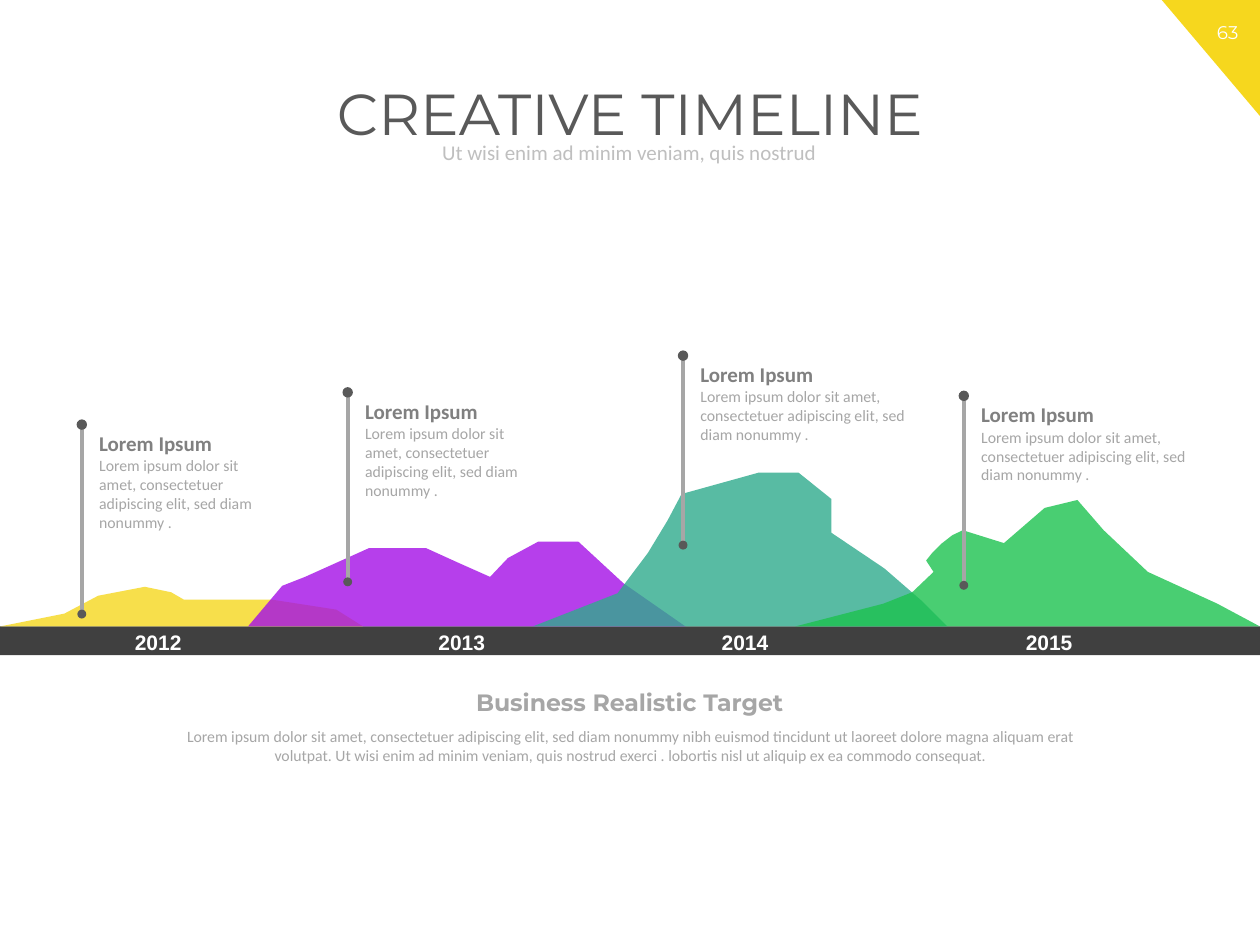
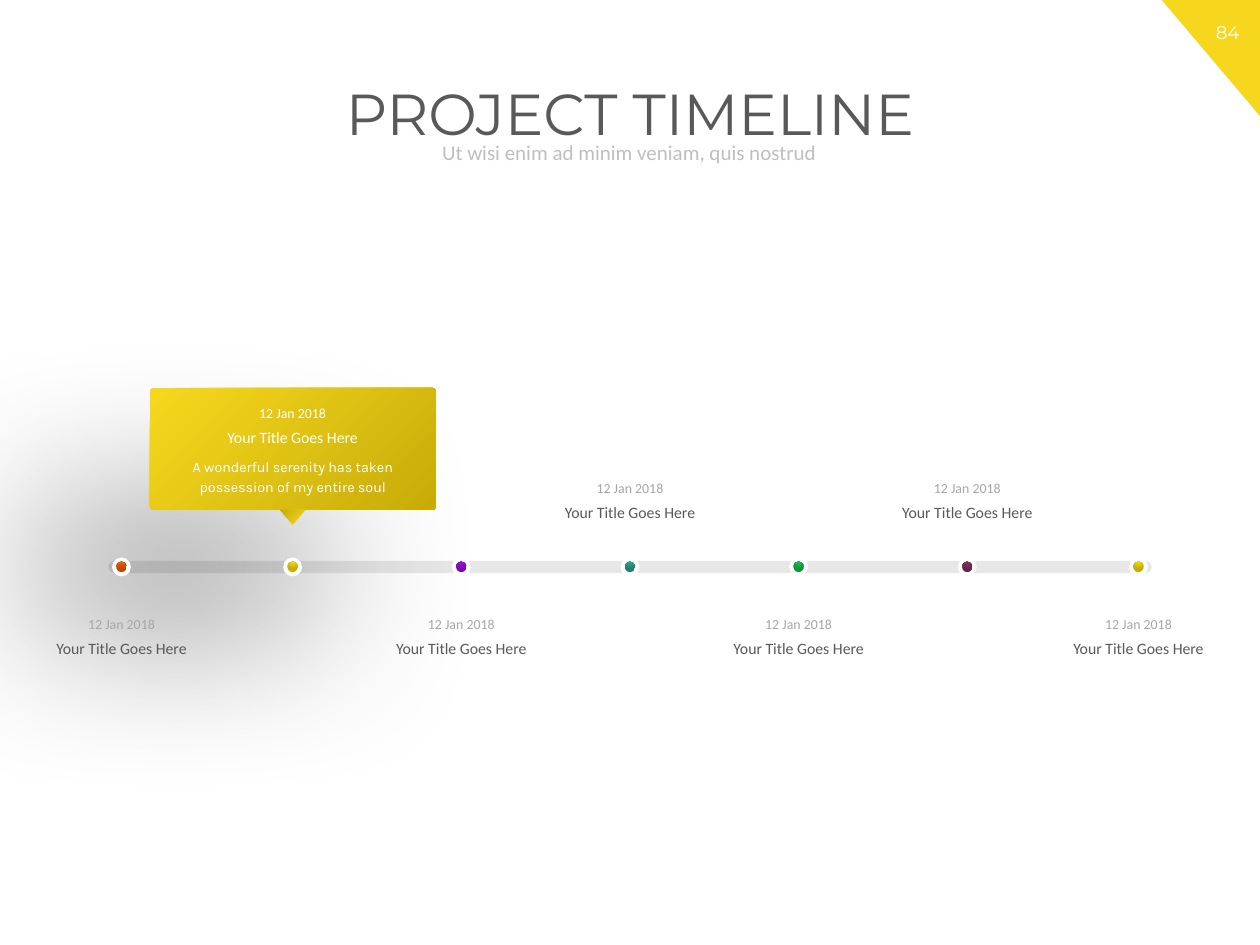
from lxml import etree
from pptx import Presentation
from pptx import util as u
from pptx.dml import color
from pptx.enum import shapes, text
from pptx.oxml import ns


class Theme:
    dark, grey, pale, white, band = "595959", "A6A6A6", "BFBFBF", "FFFFFF", "404040"
    gold, plum, teal, green = "F6D71E", "A40FE7", "2FAB8D", "1CC24F"
    rust, wine, black = "F56211", "85336A", "000000"
    deep = {gold: "C7AC08", plum: "7B0BAD", teal: "23806A", green: "15923B",
            rust: "BD4808", wine: "64264F"}
    title = ("Montserrat", 33, dark, False)
    lead = ("Calibri", 12, pale, False)
    page = ("Montserrat", 10.5, white, False)
    year = ("Arial", 12, white, True)
    goal = ("Montserrat", 13.5, grey, True)
    head = ("Calibri", 12, "808080", True)
    body = ("Calibri", 9, grey, False)
    name = ("Calibri", 9, dark, False)
    date = ("Calibri", 7.9, grey, False)
    quote = ("Karla", 8.2, white, False)


kind = shapes.MSO_SHAPE
straight = shapes.MSO_CONNECTOR.STRAIGHT
left, mid = text.PP_ALIGN.LEFT, text.PP_ALIGN.CENTER


def say(slide, box, words, style, align=mid, tint=None):
    frame = slide.shapes.add_textbox(*map(u.Cm, box)).text_frame
    frame.word_wrap = True
    para = frame.paragraphs[0]
    para.text = words
    para.alignment = align
    font = para.font
    font.name, size, shade, font.bold = style
    font.size = u.Pt(size)
    font.color.rgb = color.RGBColor.from_string(tint or shade)
    return frame


def ink(item, tint, wide=0, alpha=100, blend=None, glow=None):
    props = item._element.spPr
    rgb = color.RGBColor.from_string(tint)
    if wide:
        item.line.color.rgb = rgb
        item.line.width = u.Pt(wide)
        etree.SubElement(props, ns.qn("a:effectLst"))
    else:
        item.shadow.inherit = False
        item.line.fill.background()
        if blend:
            item.fill.gradient()
            ends = zip(item.fill.gradient_stops, (0.02, 1), (tint, Theme.deep[tint]))
            for stop, place, hue in ends:
                stop.position = place
                stop.color.rgb = color.RGBColor.from_string(hue)
            item.fill.gradient_angle = 315
        else:
            item.fill.solid()
            item.fill.fore_color.rgb = rgb
    if blend == "round":
        grad = props.find(ns.qn("a:gradFill"))
        grad.remove(grad.find(ns.qn("a:lin")))
        ring = etree.SubElement(grad, ns.qn("a:path"), {"path": "circle"})
        etree.SubElement(ring, ns.qn("a:fillToRect"),
                         l="50000", t="-80000", r="50000", b="180000")
    if alpha < 100:
        hue = next(props.iter(ns.qn("a:srgbClr")))
        etree.SubElement(hue, ns.qn("a:alpha"), val=str(alpha * 1000))
    if glow:
        hue, dist = glow
        cast = etree.SubElement(props.find(ns.qn("a:effectLst")), ns.qn("a:outerShdw"),
                                blurRad=str(u.Pt(100)), dist=str(u.Pt(dist)),
                                dir=str(135 * 60000), algn="ctr", rotWithShape="0")
        hue = etree.SubElement(cast, ns.qn("a:srgbClr"), val=hue)
        etree.SubElement(hue, ns.qn("a:alpha"), val="40000")


deck = Presentation()
deck.slide_width, deck.slide_height = u.Cm(25.4), u.Cm(19.05)
pages = []
for title, number in (("CREATIVE TIMELINE", "63"), ("PROJECT TIMELINE", "84")):
    slide = deck.slides.add_slide(deck.slide_layouts[6])
    pages.append(slide)
    fold = slide.shapes.add_shape(kind.RIGHT_TRIANGLE, *map(u.Cm, (23.42, 0, 1.98, 2.34)))
    fold.rotation = 180
    ink(fold, Theme.gold)
    say(slide, (24.1, 0.3, 1.3, 0.71), number, Theme.page)
    frame = say(slide, (1.45, 1.6, 22.5, 1.85), title, Theme.title)
    frame.paragraphs[0].line_spacing = 0.9
    frame = say(slide, (3.53, 2.77, 18.31, 0.66),
                "Ut wisi enim ad minim veniam, quis nostrud", Theme.lead)
    frame.vertical_anchor = text.MSO_ANCHOR.MIDDLE
    frame.paragraphs[0].line_spacing = 0.9
    frame.paragraphs[0].space_before = u.Pt(9)

hills, dots = pages

base = 12.63
road = hills.shapes.add_shape(kind.RECTANGLE, 0, u.Cm(base), deck.slide_width, u.Cm(0.58))
ink(road, Theme.band)
peaks = (
    (Theme.gold, ((0, base), (1.3, 12.37), (1.98, 12.01), (2.92, 11.83), (3.45, 11.94),
                  (3.71, 12.09), (5.49, 12.09), (6.78, 12.29), (7.32, base))),
    (Theme.plum, ((5, base), (5.69, 11.81), (6.15, 11.63), (7.44, 11.05), (8.59, 11.05),
                  (9.25, 11.35), (9.88, 11.63), (10.24, 11.25), (10.85, 10.92),
                  (11.66, 10.92), (12.57, 11.76), (13.82, base))),
    (Theme.teal, ((10.74, base), (12.45, 11.96), (13.06, 11.15), (13.46, 10.49),
                  (13.74, 9.96), (15.29, 9.53), (16.1, 9.53), (16.76, 10.06),
                  (16.76, 10.74), (17.83, 11.46), (18.59, 12.12), (19.1, base))),
    (Theme.green, ((16.03, base), (17.81, 12.17), (18.39, 11.94), (18.82, 11.53),
                   (18.67, 11.3), (18.79, 11.15), (18.98, 10.96), (19.2, 10.79),
                   (19.41, 10.69), (20.24, 10.95), (21.06, 10.24), (21.72, 10.08),
                   (22.25, 10.69), (23.14, 11.53), (24.54, 12.17), (25.4, base))),
)
for tint, points in peaks:
    start, *rest = [(u.Cm(x), u.Cm(y)) for x, y in points]
    path = hills.shapes.build_freeform(*start)
    path.add_line_segments(rest)
    ink(path.convert_to_shape(), tint, alpha=80)

say(hills, (3.2, 14.53, 19, 1.02),
    "Lorem ipsum dolor sit amet, consectetuer adipiscing elit, sed diam nonummy nibh "
    "euismod tincidunt ut laoreet dolore magna aliquam erat volutpat. Ut wisi enim ad "
    "minim veniam, quis nostrud exerci . lobortis nisl ut aliquip ex ea commodo consequat.",
    Theme.body)
say(hills, (9.09, 13.74, 7.21, 0.84), "Business Realistic Target", Theme.goal)

pins = (("2012", 2.06, 1.65, 8.58, 3.86), ("2013", 8.18, 7.01, 7.93, 3.86),
        ("2014", 13.89, 13.77, 7.19, 4.85), ("2015", 20.02, 19.43, 8, 4.85))
for year, edge, x, top, wide in pins:
    say(hills, (edge, 12.57, 2.26, 0.76), year, Theme.year)
    foot = top + 3.78
    rod = hills.shapes.add_connector(straight, *map(u.Cm, (x, foot, x, top)))
    ink(rod, Theme.grey, wide=2.25)
    for y, size in ((top - 0.02, 0.21), (foot + 0.02, 0.18)):
        knob = hills.shapes.add_shape(
            kind.OVAL, *map(u.Cm, (x - size / 2, y - size / 2, size, size)))
        ink(knob, Theme.dark)
    say(hills, (x + 0.1, top - 0.02, 3.25, 0.76), "Lorem Ipsum", Theme.head, left)
    say(hills, (x + 0.1, top + 0.49, wide, 1.8),
        "Lorem ipsum dolor sit amet, consectetuer adipiscing elit, sed diam nonummy .",
        Theme.body, left)

axis = 11.43
rail = dots.shapes.add_connector(straight, *map(u.Cm, (2.31, axis, 23.09, axis)))
ink(rail, Theme.grey, wide=7, alpha=25)
rail.line._get_or_add_ln().set("cap", "rnd")
card = dots.shapes.add_shape(kind.ROUNDED_RECTANGLE, *map(u.Cm, (3.02, 7.82, 5.77, 2.46)))
card.adjustments[0] = 0.03
ink(card, Theme.gold, blend="slant", glow=(Theme.black, 96))
tip = dots.shapes.add_shape(kind.ISOSCELES_TRIANGLE, *map(u.Cm, (5.65, 10.28, 0.5, 0.29)))
tip.rotation = 180
ink(tip, Theme.gold, blend="slant")
say(dots, (3.02, 9.04, 5.77, 1.09),
    "A wonderful serenity has taken possession of my entire soul",
    Theme.quote).paragraphs[0].line_spacing = 1.2

low, high, inner = 12.29, 9.55, 8.03
stops = ((2.45, Theme.rust, low), (5.9, Theme.gold, inner), (9.3, Theme.plum, low),
         (12.7, Theme.teal, high), (16.1, Theme.green, low), (19.5, Theme.wine, high),
         (22.95, Theme.gold, low))
for x, tint, top in stops:
    for size, hue, blend in ((0.38, Theme.white, None), (0.21, tint, "round")):
        disc = dots.shapes.add_shape(
            kind.OVAL, *map(u.Cm, (x - size / 2, axis - size / 2, size, size)))
        ink(disc, hue, blend=blend, glow=(hue, 0))
    over = Theme.white if top == inner else None
    say(dots, (x - 1.95, top + 0.46, 3.9, 0.64), "Your Title Goes Here", Theme.name, tint=over)
    say(dots, (x - 1.95, top, 3.9, 0.58), "12 Jan 2018", Theme.date, tint=over)

deck.save("out.pptx")
